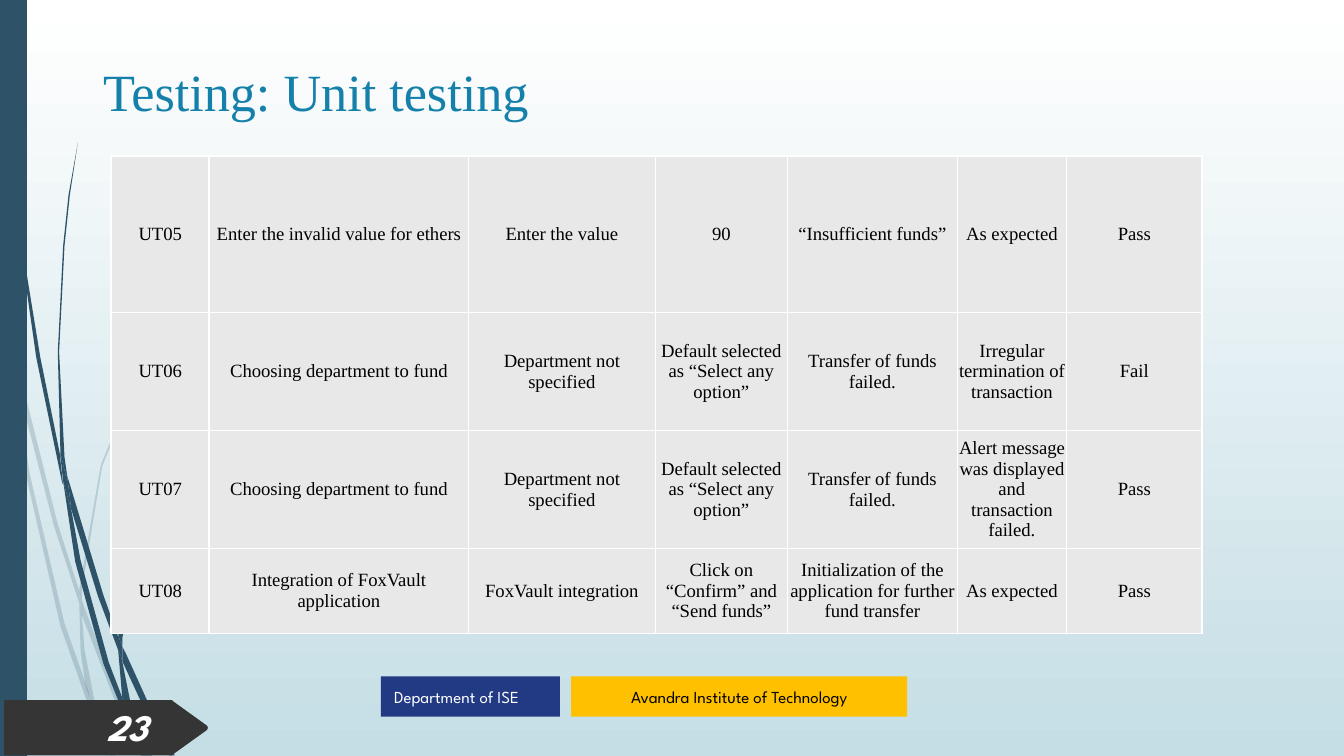
from dataclasses import dataclass
from typing import Optional

from lxml.etree import SubElement
from pptx import Presentation
from pptx.dml.color import RGBColor
from pptx.enum.shapes import MSO_SHAPE as Preset
from pptx.enum.text import MSO_ANCHOR as Anchor, PP_ALIGN as Align
from pptx.oxml.ns import qn
from pptx.shapes.base import BaseShape
from pptx.slide import Slide
from pptx.util import Pt

SERIF, SANS = "Times New Roman", "League Spartan"
NAVY, CELL, WHITE, BLACK = "2E5369", "E8E8E8", "FFFFFF", "000000"
GRID = 0.72  # points per unit of the grass outlines


@dataclass
class Label:
    text: str
    left: float
    top: float
    width: float
    height: float
    size: float
    color: str
    font: str = SANS
    fill: Optional[str] = None
    align: Align = Align.LEFT
    anchor: Anchor = Anchor.MIDDLE
    inset: float = 3.6
    emphasis: bool = False


@dataclass
class Grass:
    opacity: int
    blades: list[str]  # corners of each closed outline


LABELS = [
    Label("Avandra Institute of Technology", 306, 362.4, 180, 21.6, 9, BLACK, fill="FFC000", align=Align.CENTER),
    Label("Department of ISE", 204, 362.4, 96, 21.6, 9, WHITE, fill="223A84"),
    Label("Testing: Unit testing", 48.2, 24.5, 612, 87, 28, "1581AA", SERIF, anchor=Anchor.TOP, inset=7.2),
    Label("23", 40.3, 378.7, 46, 21.6, 20, "FEFFFF", align=Align.RIGHT, emphasis=True),
]

TAG = [(2.2, 375.1), (92.2, 375.1), (92.9, 375.8), (111, 388.8), (111.4, 389.9),
       (111, 391), (92.9, 404), (92.2, 404.6), (2.2, 404.6)]

PALE_GRASS = Grass(20, [
    "8,263 6,241 0,211 0,224 7,258",
    "40,391 59,449 59,440 43,390 10,259 12,282",
    "64,455 61,447 61,458 85,520 104,562 108,562 88,519",
    "83,562 86,562 73,533",
    "65,512 48,464 22,352 12,282 8,263 19,352 45,466 64,520 70,536 69,530",
    "59,449 60,485 64,512 67,519 73,533 72,530 63,484 61,458 61,456",
    "61,438 76,347 111,261 159,184 187,148 201,131 217,115 201,131 186,148 158,183 110,261 75,346"
    " 59,438 59,440 61,447",
    "70,536 79,562 82,562",
    "61,456 61,458 61,447 59,440 59,449",
    "67,519 65,512 69,530 70,536 82,562 83,562 73,533",
])

DARK_GRASS = Grass(100, [
    "5,82 14,175 27,266 46,358 47,361 45,343 45,340 30,266 15,174 6,82 4,36 3,0 2,0 3,36",
    "73,444 88,484 88,475 88,474 77,443 50,354 53,379",
    "94,487 91,481 91,492 109,531 126,562 130,562 113,529",
    "91,519 81,493 60,417 53,379 47,358 56,418 77,494 92,531 97,541 96,538",
    "50,354 48,340 44,262 48,183 52,145 58,106 51,145 47,183 43,262 45,337 49,354",
    "110,562 113,562 101,539",
    "47,358 53,379 50,354 49,354 45,337 45,340",
    "91,475 103,414 131,357 169,305 191,281 203,269 216,258 203,269 191,280 168,304 129,356 101,413"
    " 88,473 91,481",
    "97,541 105,562 108,562",
    "88,484 91,519 96,530 101,539 100,537 91,492 90,488",
    "88,484 90,488 91,492 91,481 88,473 88,475",
    "96,530 91,519 96,538 97,541 108,562 110,562 101,539",
])

COLUMNS = [52.5, 138.8, 100.2, 70.7, 91.1, 58.5, 72.7]
ROWS = [83.9, 63.2, 63.2, 45.5]
TESTS = [
    ("UT05", "Enter the invalid value for ethers", "Enter the value", "90",
     "“Insufficient funds”", "As expected", "Pass"),
    ("UT06", "Choosing department to fund", "Department not specified",
     "Default selected as “Select any option”", "Transfer of funds failed.",
     "Irregular termination of transaction", "Fail"),
    ("UT07", "Choosing department to fund", "Department not specified",
     "Default selected as “Select any option”", "Transfer of funds failed.",
     "Alert message was displayed and transaction failed.", "Pass"),
    ("UT08", "Integration of FoxVault application", "FoxVault integration",
     "Click on “Confirm” and “Send funds”",
     "Initialization of the application for further fund transfer", "As expected", "Pass"),
]


def rgb(color: str) -> RGBColor:
    return RGBColor.from_string(color)


def paint(shape: BaseShape, color: str, opacity: int = 100) -> None:
    shape.shadow.inherit = False
    shape.fill.solid()
    shape.fill.fore_color.rgb = rgb(color)
    shape.line.fill.background()
    if opacity < 100:
        color_element = shape.element.spPr.find(qn("a:solidFill"))[0]
        SubElement(color_element, qn("a:alpha"), val=str(opacity * 1000))


def style_text(paragraph, align: Align, font: str, size: float, color: str, emphasis: bool = False) -> None:
    paragraph.alignment = align
    for run in paragraph.runs:
        run.font.name, run.font.size = font, Pt(size)
        run.font.color.rgb = rgb(color)
        run.font.bold = run.font.italic = emphasis


def draw_outline(slide: Slide, points: list[tuple[float, float]], color: str, opacity: int = 100) -> None:
    start, *rest = [(Pt(x), Pt(y)) for x, y in points]
    builder = slide.shapes.build_freeform(*start)
    builder.add_line_segments(rest, close=True)
    paint(builder.convert_to_shape(), color, opacity)


def blade_points(blade: str) -> list[tuple[float, float]]:
    return [tuple(int(n) * GRID for n in pair.split(",")) for pair in blade.split()]


def draw_label(slide: Slide, label: Label) -> None:
    box = tuple(Pt(n) for n in (label.left, label.top, label.width, label.height))
    if label.fill:
        shape = slide.shapes.add_shape(Preset.RECTANGLE, *box)
        paint(shape, label.fill)
    else:
        shape = slide.shapes.add_textbox(*box)
    frame = shape.text_frame
    frame.text, frame.word_wrap, frame.vertical_anchor = label.text, True, label.anchor
    frame.margin_left = frame.margin_right = Pt(7.2)
    frame.margin_top = frame.margin_bottom = Pt(label.inset)
    style_text(frame.paragraphs[0], label.align, label.font, label.size, label.color, label.emphasis)


def style_cell(cell, text: str) -> None:
    cell.text_frame.text = text
    cell.vertical_anchor = Anchor.MIDDLE
    cell.margin_left = cell.margin_right = cell.margin_top = cell.margin_bottom = 0
    style_text(cell.text_frame.paragraphs[0], Align.CENTER, SERIF, 10, BLACK)
    properties = cell._tc.get_or_add_tcPr()
    for side in ("lnL", "lnR", "lnT", "lnB"):
        border = SubElement(properties, qn(f"a:{side}"), w=str(Pt(1)))
        SubElement(SubElement(border, qn("a:solidFill")), qn("a:srgbClr"), val=WHITE)
    cell.fill.solid()
    cell.fill.fore_color.rgb = rgb(CELL)


def draw_table(slide: Slide) -> None:
    table = slide.shapes.add_table(len(ROWS), len(COLUMNS), Pt(59.6), Pt(83.6),
                                   Pt(sum(COLUMNS)), Pt(sum(ROWS))).table
    table.first_row = table.horz_banding = False
    for column, width in zip(table.columns, COLUMNS):
        column.width = Pt(width)
    for row, height, test in zip(table.rows, ROWS, TESTS):
        row.height = Pt(height)
        for cell, text in zip(row.cells, test):
            style_cell(cell, text)


def main() -> None:
    presentation = Presentation()
    presentation.slide_width, presentation.slide_height = Pt(720), Pt(405)
    slide = presentation.slides.add_slide(presentation.slide_layouts[6])

    # Background
    background = slide.background.fill
    background.gradient()
    background.gradient_angle = 270
    for stop, color in zip(background.gradient_stops, (WHITE, "C5DEE5")):
        stop.color.rgb = rgb(color)

    # Grass, side bar and page tag
    for grass in (PALE_GRASS, DARK_GRASS):
        for blade in grass.blades:
            draw_outline(slide, blade_points(blade), NAVY, grass.opacity)
    paint(slide.shapes.add_shape(Preset.RECTANGLE, 0, 0, Pt(14.4), Pt(405)), NAVY)
    draw_outline(slide, TAG, "353535")

    # Title, footer and test results
    for label in LABELS:
        draw_label(slide, label)
    draw_table(slide)
    presentation.save("out.pptx")


if __name__ == "__main__":
    main()
